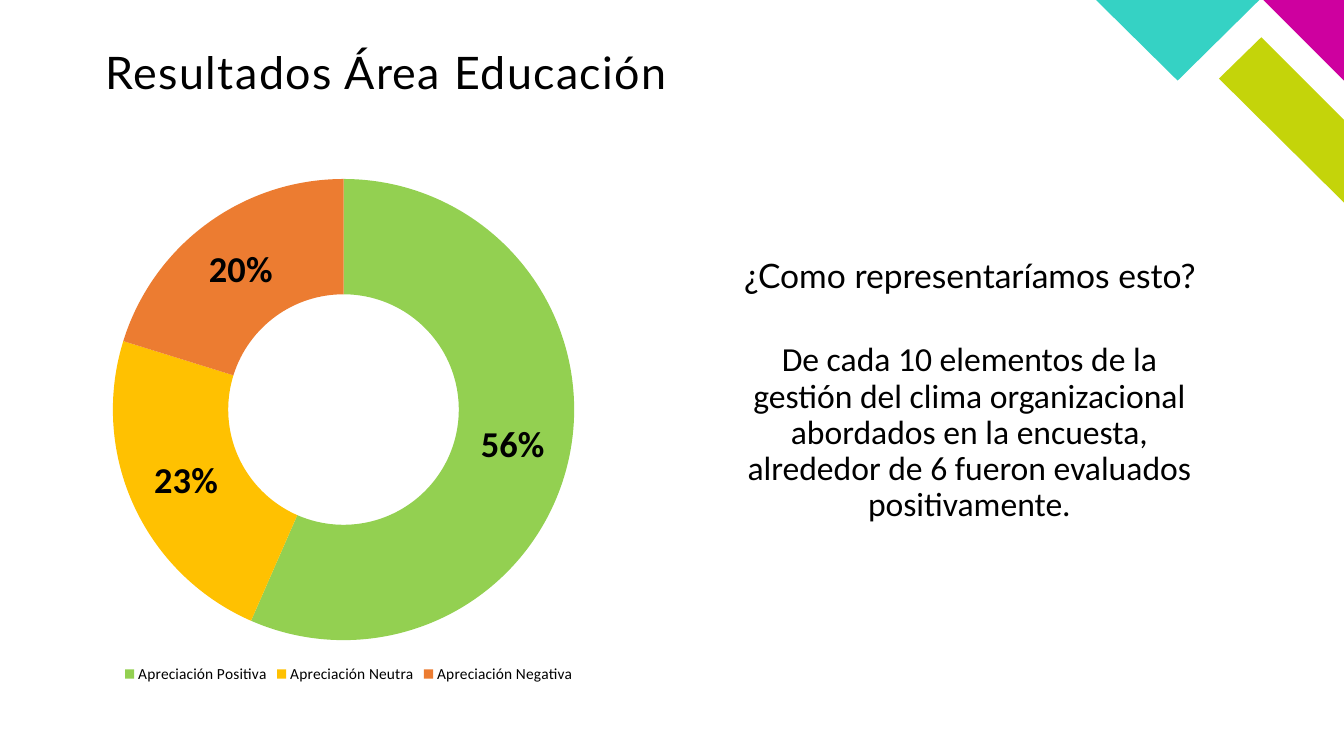
"""Build the slide with the education area results."""
from lxml import etree
from pptx import Presentation
from pptx.chart.data import CategoryChartData
from pptx.dml.color import RGBColor
from pptx.enum.chart import XL_CHART_TYPE, XL_LEGEND_POSITION
from pptx.enum.text import MSO_ANCHOR, PP_ALIGN
from pptx.oxml.ns import qn
from pptx.util import Inches, Pt

CORNER = [
    ("C4D40A", [(13.33, 2.01), (13.33, 1.19), (12.51, 0.37), (12.09, 0.78)]),
    ("CE009F", [(13.33, 0.8), (13.33, 0), (12.53, 0)]),
    ("35D2C4", [(10.87, 0), (11.68, 0.8), (12.49, 0)]),
]
TITLE = {"text": "Resultados Área Educación", "box": (1.05, 0.5, 10, 0.67),
         "font": {"name": "Lato", "size": Pt(32)}, "align": PP_ALIGN.LEFT,
         "frame": {"margin_left": 0, "margin_right": 0, "margin_top": 0,
                   "margin_bottom": 0, "vertical_anchor": MSO_ANCHOR.TOP}}
ANSWER = {"text": "De cada 10 elementos de la gestión del clima organizacional "
                  "abordados en la encuesta, alrededor de 6 fueron evaluados positivamente.",
          "box": (7.18, 3.07, 4.87, 2.46), "font": {"name": "Calibri", "size": Pt(24)},
          "align": PP_ALIGN.CENTER, "frame": {"vertical_anchor": MSO_ANCHOR.MIDDLE}}
QUESTION = {"text": "¿Como representaríamos esto?", "box": (7.12, 2.32, 5, 0.87),
            "font": {"name": "Lato", "size": Pt(24)},
            "align": PP_ALIGN.CENTER, "frame": {"vertical_anchor": MSO_ANCHOR.MIDDLE}}
RATINGS = [
    ("Apreciación Positiva", 0.56, "93D051"),
    ("Apreciación Neutra", 0.23, "FFC101"),
    ("Apreciación Negativa", 0.2, "EC7C31"),
]
CHART_BOX = (0.86, 1.62, 5.2, 5.2)
RING = {"xMode": "edge", "yMode": "edge", "x": 0.05, "y": 0.03, "w": 0.88, "h": 0.88}


def paint(color_format, color):
    color_format.rgb = RGBColor.from_string(color)


def set_all(target, values):
    for name, value in values.items():
        setattr(target, name, value)


def fill(fmt, color):
    fmt.fill.solid()
    paint(fmt.fill.fore_color, color)
    fmt.line.fill.background()


def style_font(font, values, color="000000"):
    set_all(font, values)
    paint(font.color, color)


def add_polygon(s, color, points):
    corners = [(Inches(x), Inches(y)) for x, y in points]
    builder = s.shapes.build_freeform(*corners[0])
    builder.add_line_segments(corners[1:], close=True)
    sp = builder.convert_to_shape()
    sp.shadow.inherit = False
    fill(sp, color)


def add_text(s, item):
    tf = s.shapes.add_textbox(*map(Inches, item["box"])).text_frame
    set_all(tf, {"word_wrap": True, **item["frame"]})
    p = tf.paragraphs[0]
    set_all(p, {"alignment": item["align"], "line_spacing": 0.9})
    r = p.add_run()
    r.text = item["text"]
    style_font(r.font, item["font"])
    return r


def add_ring(s):
    data = CategoryChartData(number_format="0%")
    data.categories = [name for name, _, _ in RATINGS]
    data.add_series("Series 1", [value for _, value, _ in RATINGS])
    chart = s.shapes.add_chart(XL_CHART_TYPE.DOUGHNUT, *map(Inches, CHART_BOX), data).chart
    set_all(chart, {"has_title": False, "has_legend": True})
    style_font(chart.font, {"name": "Calibri", "size": Pt(18)})
    set_all(chart.legend, {"position": XL_LEGEND_POSITION.BOTTOM, "include_in_layout": False})
    style_font(chart.legend.font, {"name": "Calibri", "size": Pt(11)})
    plot = chart.plots[0]
    set_all(plot, {"vary_by_categories": True, "has_data_labels": True})
    labels = plot.series[0].data_labels
    set_all(labels, {"show_value": True, "show_percentage": False,
                     "number_format": "0%", "number_format_is_linked": False})
    style_font(labels.font, {"name": "Calibri", "size": Pt(26), "bold": True})
    for i, (_, _, color) in enumerate(RATINGS):
        fill(plot.series[0].points[i].format, color)
    area = chart.element.find(".//" + qn("c:plotArea"))
    layout = area.find(qn("c:layout"))
    if layout is None:
        layout = etree.Element(qn("c:layout"))
        area.insert(0, layout)
    manual = etree.SubElement(layout, qn("c:manualLayout"))
    etree.SubElement(manual, qn("c:layoutTarget")).set("val", "inner")
    for name, value in RING.items():
        etree.SubElement(manual, qn("c:" + name)).set("val", str(value))
    area.find(".//" + qn("c:holeSize")).set("val", "50")


def main():
    prs = Presentation()
    set_all(prs, {"slide_width": Inches(13.33), "slide_height": Inches(7.5)})
    s = prs.slides.add_slide(prs.slide_layouts[6])
    for color, points in CORNER:
        add_polygon(s, color, points)
    r = add_text(s, TITLE)
    r.font._element.set("spc", "100")
    for item in (ANSWER, QUESTION):
        add_text(s, item)
    add_ring(s)
    prs.save("out.pptx")


if __name__ == "__main__":
    main()
